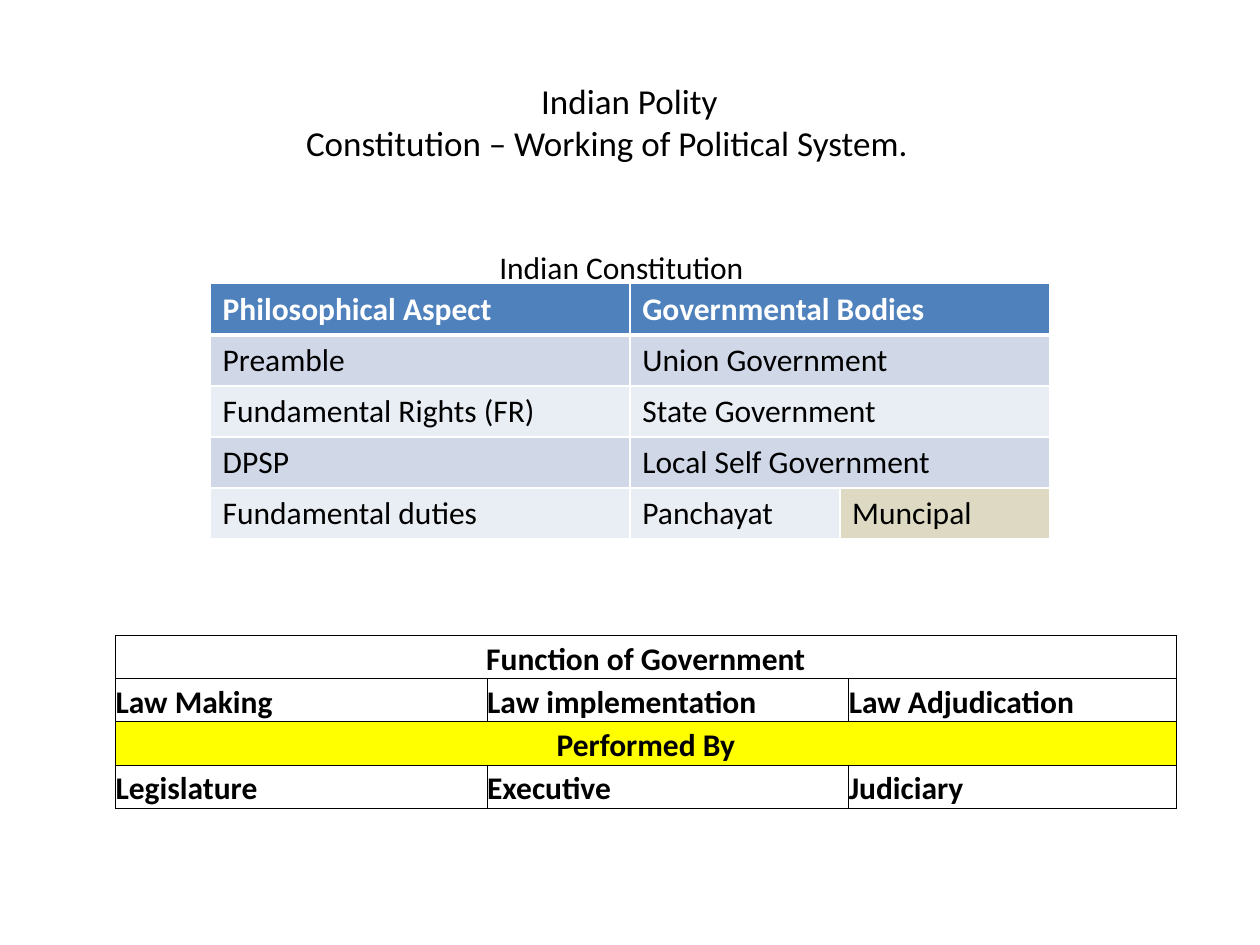
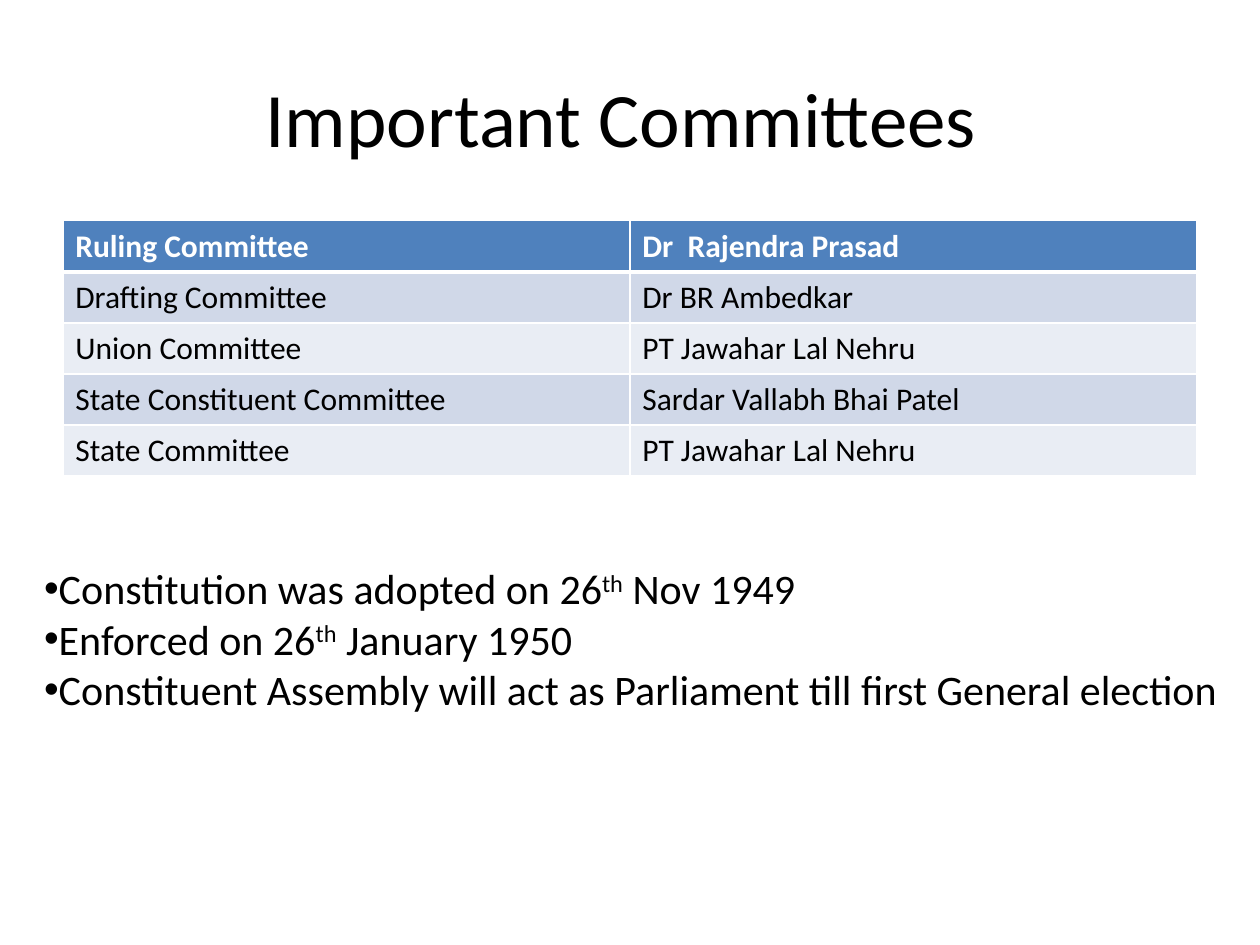
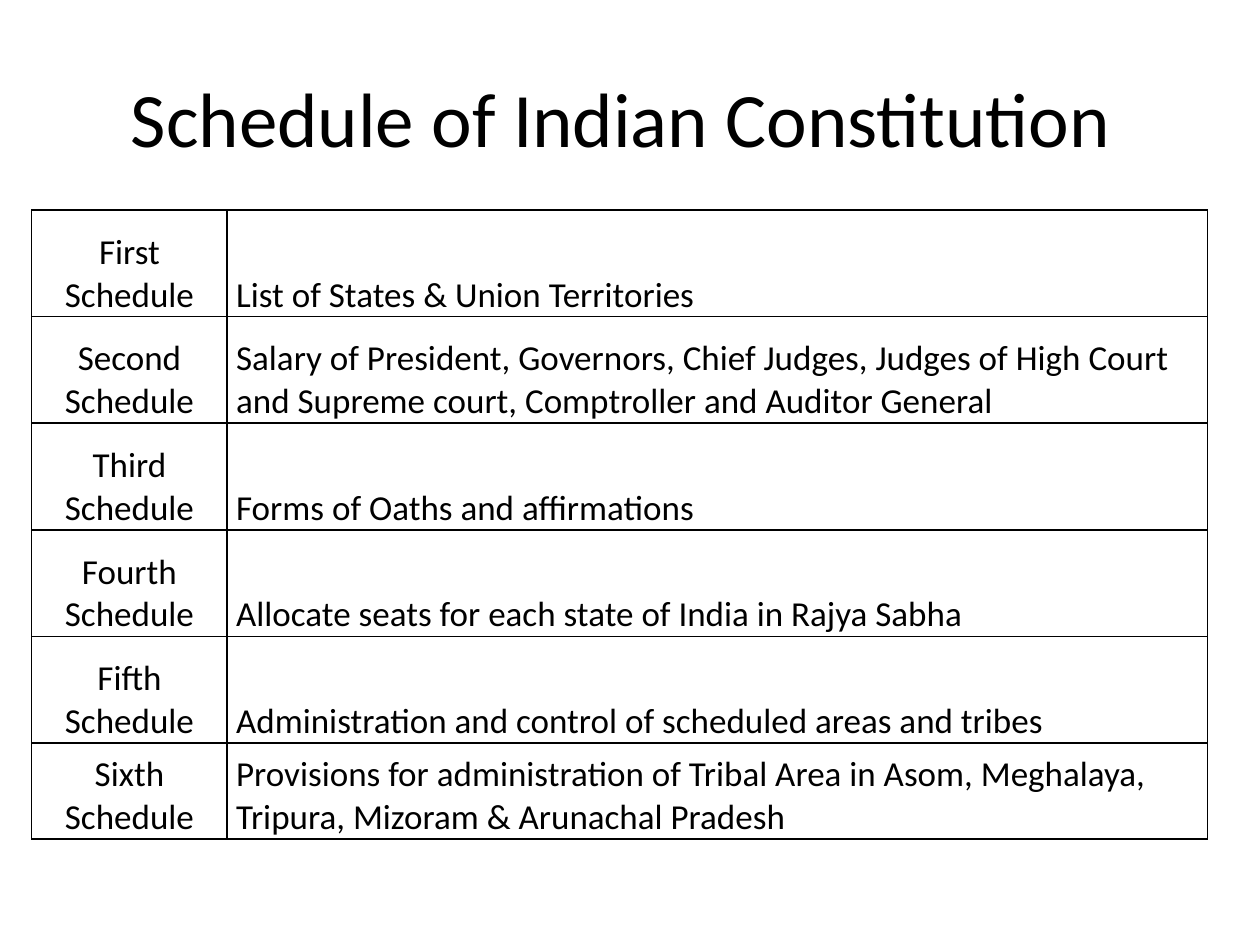
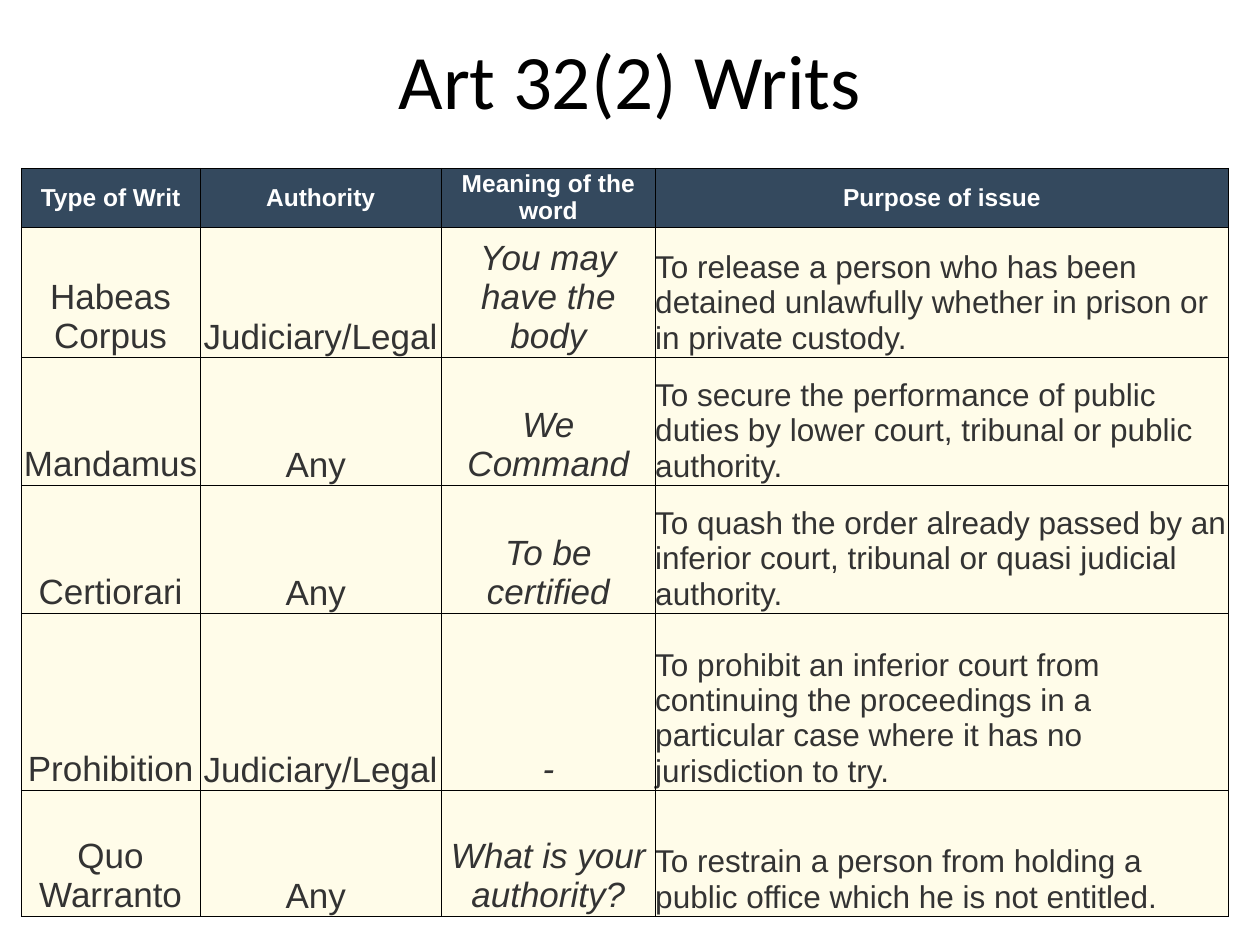
from lxml import etree
from pptx import Presentation, util as u
from pptx.dml import color
from pptx.enum import text as t
from pptx.oxml import ns

# Shared look
BODY_FONT, WRIT_FONT = "Calibri", "Arial"
BLACK, WHITE, YELLOW = "000000", "FFFFFF", "FFFF00"
BLUE, BAND_DARK, BAND_LIGHT, TAN = "4F81BD", "D0D8E8", "E9EDF4", "DDD9C3"
NAVY, CREAM, CHARCOAL = "34495E", "FFFCE9", "333333"
LEFT, CENTER = t.PP_ALIGN.LEFT, t.PP_ALIGN.CENTER
TOP, MIDDLE, BOTTOM = t.MSO_ANCHOR.TOP, t.MSO_ANCHOR.MIDDLE, t.MSO_ANCHOR.BOTTOM
PLAIN_STYLE = "{2D5ABB26-0587-4C30-8999-92F81FD0307C}"
DEFAULT_INSETS = (0.25, 0.13, 0.25, 0.13)
NO_INSETS = (0, 0, 0, 0)
ROW_HEIGHT = 1.03
TITLE_BOX = (1.27, 0.76, 22.86, 3.17)


def rgb(value):
    return color.RGBColor.from_string(value)


def write_text(paragraph, text, size=18, font=BODY_FONT, ink=BLACK, bold=False,
               italic=False, align=LEFT, bullet=None):
    """Fill a paragraph; text between ^ marks is raised."""
    properties = paragraph._p.get_or_add_pPr()
    if bullet:
        properties.set("marL", "0")
        properties.set("indent", "0")
        etree.SubElement(properties, ns.qn("a:buFont")).set("typeface", "Arial")
        etree.SubElement(properties, ns.qn("a:buChar")).set("char", bullet)
    paragraph.alignment = align
    for index, part in enumerate(text.split("^")):
        run = paragraph.add_run()
        run.text = part
        run.font.size = u.Pt(size)
        run.font.name = font
        run.font.bold = bold
        run.font.italic = italic
        run.font.color.rgb = rgb(ink)
        if index % 2:
            run.font._element.set("baseline", "30000")


def add_text_box(slide, box, lines, anchor=TOP, grow=True, **text_format):
    """Place lines of text; a line may be a pair of text and alignment."""
    shape = slide.shapes.add_textbox(*map(u.Cm, box))
    frame = shape.text_frame
    frame.word_wrap = True
    frame.vertical_anchor = anchor
    frame.auto_size = (t.MSO_AUTO_SIZE.SHAPE_TO_FIT_TEXT if grow
                       else t.MSO_AUTO_SIZE.NONE)
    for index, (line, align) in enumerate(lines):
        paragraph = frame.add_paragraph() if index else frame.paragraphs[0]
        write_text(paragraph, line, align=align, **text_format)


def add_title(slide, text, box=TITLE_BOX):
    add_text_box(slide, box, [(text, CENTER)], anchor=MIDDLE, grow=False, size=44)


def set_borders(cell, ink, widths):
    """Draw cell edges; widths maps L, R, T and B to points."""
    properties = cell._tc.get_or_add_tcPr()
    sides = [side for side in "LRTB" if side in widths]
    for position, side in enumerate(sides):
        line = etree.Element(ns.qn(f"a:ln{side}"), w=str(u.Pt(widths[side])))
        fill = etree.SubElement(line, ns.qn("a:solidFill"))
        etree.SubElement(fill, ns.qn("a:srgbClr")).set("val", ink)
        properties.insert(position, line)


def format_cell(cell, text, fill=None, border=BLACK, widths=None, insets=NO_INSETS,
                anchor=BOTTOM, **text_format):
    (cell.margin_left, cell.margin_top,
     cell.margin_right, cell.margin_bottom) = map(u.Cm, insets)
    cell.vertical_anchor = anchor
    if fill:
        cell.fill.solid()
        cell.fill.fore_color.rgb = rgb(fill)
    else:
        cell.fill.background()
    set_borders(cell, border, widths or {})
    if text:
        write_text(cell.text_frame.paragraphs[0], text, **text_format)


def add_grid(slide, left, top, columns, heights, rows, cell_format):
    """Add a table; None in a row joins that cell to the one on its left."""
    frame = slide.shapes.add_table(len(rows), len(columns), u.Cm(left), u.Cm(top),
                                   u.Cm(sum(columns)), u.Cm(sum(heights)))
    table = frame.table
    table.first_row = table.horz_banding = False
    frame._element.find(".//" + ns.qn("a:tableStyleId")).text = PLAIN_STYLE
    for column, width in zip(table.columns, columns):
        column.width = u.Cm(width)
    for row, height in zip(table.rows, heights):
        row.height = u.Cm(height)
    for row_index, row in enumerate(rows):
        for column_index, text in enumerate(row):
            format_cell(table.cell(row_index, column_index), text,
                        **cell_format(row_index, column_index))
        starts = [index for index, text in enumerate(row) if text is not None]
        for start, end in zip(starts, starts[1:] + [len(row)]):
            if end - start > 1:
                table.cell(row_index, start).merge(table.cell(row_index, end - 1))


def all_sides(width):
    return dict.fromkeys("LRTB", width)


def banded_format(row, column):
    """Blue header over alternating pale bands with white rules."""
    shared = dict(border=WHITE, insets=DEFAULT_INSETS, anchor=TOP)
    if row == 0:
        return dict(shared, fill=BLUE, ink=WHITE, bold=True,
                    widths={**all_sides(1), "B": 3})
    widths = all_sides(1)
    if row == 1:
        del widths["T"]  # the thick header rule stays on top
    fill = BAND_DARK if row % 2 else BAND_LIGHT
    if column == 2 and row == 4:
        fill = TAN
    return dict(shared, fill=fill, widths=widths)


def add_banded_table(slide, left, top, columns, rows):
    add_grid(slide, left, top, columns, [ROW_HEIGHT] * len(rows), rows, banded_format)


def function_format(row, column):
    """Open first row, then ruled rows with centred headings."""
    heading = row in (1, 3)
    return dict(widths=all_sides(0.5) if row else {"B": 0.5},
                fill=YELLOW if row == 3 else None,
                align=CENTER if heading else LEFT, bold=True)


def schedule_format(row, column):
    return dict(widths=all_sides(1), size=20, align=LEFT if column else CENTER,
                insets=(0.18, 0, 0, 0) if column else NO_INSETS)


def writ_format(row, column):
    shared = dict(widths=all_sides(0.5), font=WRIT_FONT)
    if row == 0:
        return dict(shared, fill=NAVY, ink=WHITE, bold=True, size=14,
                    align=CENTER, anchor=MIDDLE)
    purpose = column == 3
    return dict(shared, fill=CREAM, ink=CHARCOAL, size=18 if purpose else 20,
                italic=column == 2, align=LEFT if purpose else CENTER,
                insets=NO_INSETS if column == 1 else (0, 0.05, 0, 0.03))


def build_polity_slide(slide):
    add_text_box(slide, (5.92, 1.47, 13.54, 1.96),
                 [("Indian Polity", CENTER),
                  ("Constitution – Working of Political System.", LEFT)], size=20)
    add_text_box(slide, (3.81, 4.88, 17.58, 4.11), [("Indian Constitution ", CENTER)])
    add_banded_table(slide, 4.24, 5.72, [8.46, 4.23, 4.23], [
        ("Philosophical Aspect", "Governmental Bodies", None),
        ("Preamble", "Union Government", None),
        ("Fundamental Rights (FR)", "State Government", None),
        ("DPSP", "Local Self Government", None),
        ("Fundamental duties", "Panchayat", "Muncipal"),
    ])
    add_grid(slide, 2.33, 11.85, [7.49, 7.29, 6.6], [0.96] + [0.87] * 4, [
        ("", "", ""),
        ("Function of Government", None, None),
        ("Law Making", "Law implementation", "Law Adjudication"),
        ("Performed By", None, None),
        ("Legislature", "Executive", "Judiciary"),
    ], function_format)


def build_committee_slide(slide):
    add_title(slide, "Important Committees ")
    add_banded_table(slide, 1.27, 4.45, [11.43, 11.43], [
        ("Ruling Committee", "Dr  Rajendra Prasad"),
        ("Drafting Committee", "Dr BR Ambedkar"),
        ("Union Committee", "PT Jawahar Lal Nehru"),
        ("State Constituent Committee", "Sardar Vallabh Bhai Patel"),
        ("State Committee", "PT Jawahar Lal Nehru"),
    ])
    facts = ["Constitution was adopted on 26^th^ Nov 1949",
             "Enforced on 26^th^ January 1950",
             "Constituent Assembly will act as Parliament till first General election"]
    add_text_box(slide, (0.64, 11.22, 24.76, 3.33), [(fact, LEFT) for fact in facts],
                 size=24, bullet="•")


def build_schedule_slide(slide):
    add_title(slide, "Schedule of Indian Constitution ")
    add_grid(slide, 0.64, 4.23, [3.94, 19.76], [2.15] * 5 + [1.93], [
        ("First Schedule", "List of States & Union Territories"),
        ("Second Schedule", "Salary of President, Governors, Chief Judges, Judges of "
         "High Court and Supreme court, Comptroller and Auditor General"),
        ("Third Schedule", "Forms of Oaths and affirmations"),
        ("Fourth Schedule", "Allocate seats for each state of India in Rajya Sabha"),
        ("Fifth Schedule", "Administration and control of scheduled areas and tribes"),
        ("Sixth Schedule", "Provisions for administration of Tribal Area in Asom, "
         "Meghalaya, Tripura, Mizoram & Arunachal Pradesh"),
    ], schedule_format)


def build_writ_slide(slide):
    left, _, width, _ = TITLE_BOX
    add_title(slide, "Art 32(2) Writs", (left, 0, width, 3.17))
    add_grid(slide, 0.43, 3.39, [3.6, 4.87, 4.31, 11.56],
             [1.19, 2.58, 2.58, 2.58, 3.57, 2.54], [
        ("Type of Writ", "Authority", "Meaning of the word", "Purpose of issue"),
        ("Habeas Corpus", "Judiciary/Legal", "You may have the body",
         "To release a person who has been detained unlawfully whether in prison "
         "or in private custody."),
        ("Mandamus", "Any ", "We Command",
         "To secure the performance of public duties by lower court, tribunal or "
         "public authority."),
        ("Certiorari", "Any ", "To be certified",
         "To quash the order already passed by an inferior court, tribunal or "
         "quasi judicial authority."),
        ("Prohibition", "Judiciary/Legal", "-",
         "To prohibit an inferior court from continuing the proceedings in a "
         "particular case where it has no jurisdiction to try."),
        ("Quo Warranto", "Any ", "What is your authority?",
         "To restrain a person from holding a public office which he is not entitled."),
    ], writ_format)


def main():
    presentation = Presentation()
    presentation.slide_width, presentation.slide_height = u.Cm(25.4), u.Cm(19.05)
    blank = presentation.slide_layouts[6]
    for build in (build_polity_slide, build_committee_slide,
                  build_schedule_slide, build_writ_slide):
        build(presentation.slides.add_slide(blank))
    presentation.save("out.pptx")


if __name__ == "__main__":
    main()
